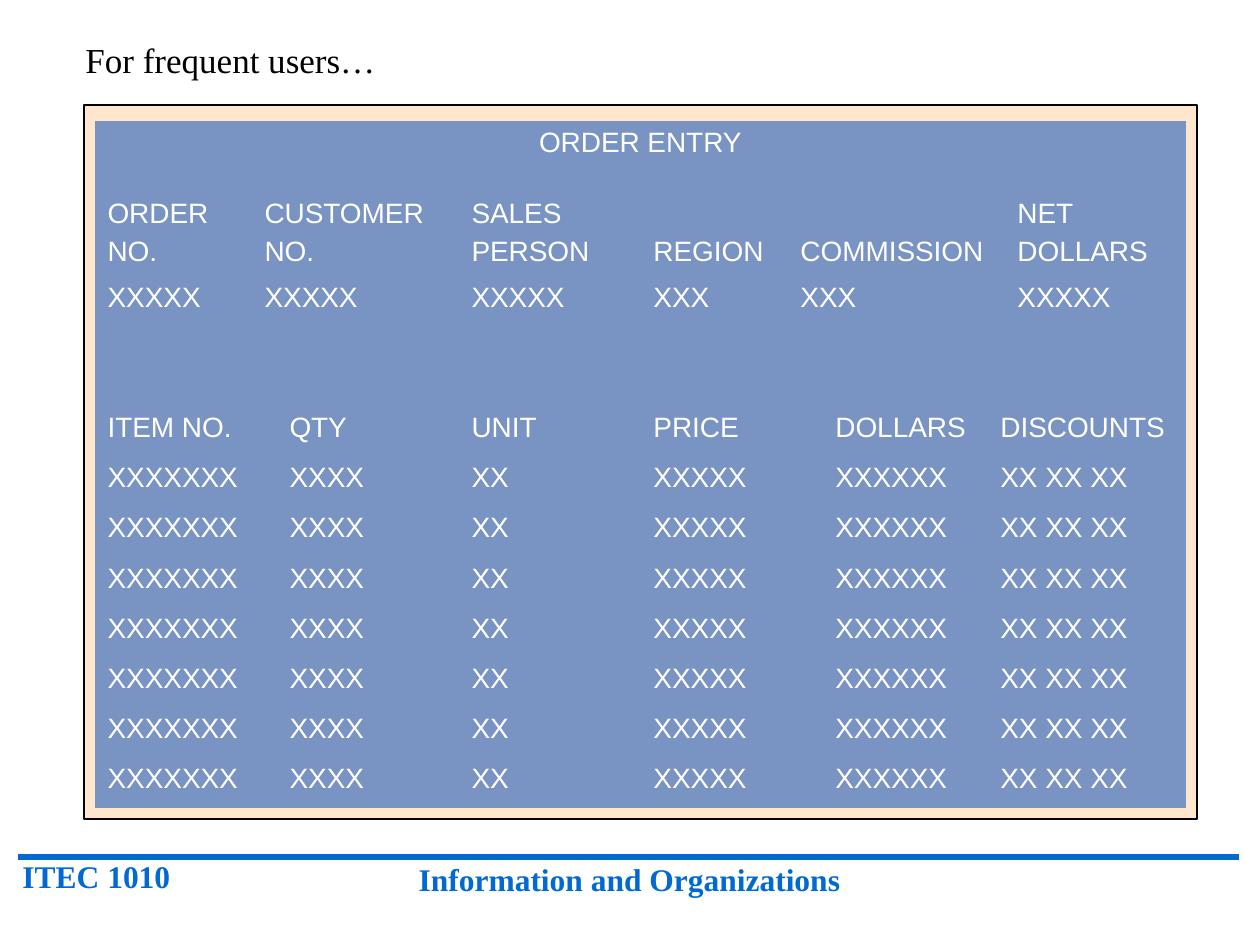
from pptx import Presentation
from pptx.dml.color import RGBColor
from pptx.enum.shapes import MSO_CONNECTOR, MSO_SHAPE
from pptx.enum.text import MSO_ANCHOR, PP_ALIGN
from pptx.oxml.ns import qn
from pptx.util import Emu, Pt
from lxml import etree

RECTANGLE = MSO_SHAPE.RECTANGLE
STRAIGHT = MSO_CONNECTOR.STRAIGHT
LEFT, CENTER = PP_ALIGN.LEFT, PP_ALIGN.CENTER
TOP, BOTTOM = MSO_ANCHOR.TOP, MSO_ANCHOR.BOTTOM

EMU_PER_PX = 914400 / 126
NO_STYLE = "{2D5ABB26-0587-4C30-8999-92F81FD0307C}"
COLORS = {
    "footer": "0069D2",
    "frame": "FFE6CD",
    "cell": "7993C3",
    "black": "000000",
    "white": "FFFFFF",
}

ORDER_ROWS = [
    ["ORDER ENTRY"],
    ["ORDER\nNO.", "CUSTOMER\nNO.", "SALES\nPERSON", "REGION",
     "COMMISSION", "NET\nDOLLARS"],
    ["XXXXX", "XXXXX", "XXXXX", "XXX", "XXX", "XXXXX"],
    [""],
]
ITEM_HEADER = ["ITEM NO.", "QTY", "UNIT", "PRICE", "DOLLARS", "DISCOUNTS"]
ITEM_ROW = ["XXXXXXX", "XXXX", "XX", "XXXXX", "XXXXXX", "XX XX XX"]
ITEM_ROWS = [ITEM_HEADER] + [ITEM_ROW] * 7


def px(value):
    return Emu(round(value * EMU_PER_PX))


def color(name):
    return RGBColor.from_string(COLORS[name])


def write_text(frame, text, *, size, ink, font="Times New Roman", bold=False,
               align=LEFT, gap=0):
    """Write one paragraph per line, with gap points between them."""
    for index, line in enumerate(text.split("\n")):
        paragraph = frame.add_paragraph() if index else frame.paragraphs[0]
        paragraph.alignment = align
        if index:
            paragraph.space_before = Pt(gap)
        run = paragraph.add_run()
        run.text = line
        run.font.name = font
        run.font.size = Pt(size)
        run.font.bold = bold
        run.font.color.rgb = color(ink)


def add_text(slide, left, top, width, height, text, **text_format):
    box = slide.shapes.add_textbox(px(left), px(top), px(width), px(height))
    box.text_frame.word_wrap = True
    write_text(box.text_frame, text, **text_format)


def add_line(slide, left, right, y):
    line = slide.shapes.add_connector(STRAIGHT, px(left), px(y), px(right), px(y))
    line.line.color.rgb = color("footer")
    line.line.width = Pt(3)
    etree.SubElement(line._element.spPr, qn("a:effectLst"))


def add_frame(slide, left, top, width, height):
    shape = slide.shapes.add_shape(RECTANGLE, px(left), px(top), px(width), px(height))
    shape.shadow.inherit = False
    shape.fill.solid()
    shape.fill.fore_color.rgb = color("frame")
    shape.line.color.rgb = color("black")
    shape.line.width = Pt(0.75)


def add_grid(slide, left, top, widths, heights, rows, header_row=None):
    """Add a borderless table; a row with a single text spans all columns."""
    graphic = slide.shapes.add_table(len(heights), len(widths), px(left), px(top),
                                     px(sum(widths)), px(sum(heights)))
    table = graphic.table
    table.first_row = table.horz_banding = False
    table._tbl.tblPr.find(qn("a:tableStyleId")).text = NO_STYLE
    for column, width in zip(table.columns, widths):
        column.width = px(width)
    for row, height in zip(table.rows, heights):
        row.height = px(height)
    for cell in table.iter_cells():
        cell.fill.solid()
        cell.fill.fore_color.rgb = color("cell")

    for row_index, texts in enumerate(rows):
        spans = len(texts) == 1
        if spans:
            table.cell(row_index, 0).merge(table.cell(row_index, len(widths) - 1))
        for column_index, text in enumerate(texts):
            cell = table.cell(row_index, column_index)
            # Column headings stand on a common bottom line
            if row_index == header_row:
                cell.vertical_anchor = BOTTOM
                cell.margin_bottom = px(9)
            else:
                cell.vertical_anchor = TOP
            if text:
                write_text(cell.text_frame, text, size=16, ink="white", font="Arial",
                           align=CENTER if spans else LEFT, gap=4)


def main():
    presentation = Presentation()
    presentation.slide_width, presentation.slide_height = px(1260), px(945)
    slide = presentation.slides.add_slide(presentation.slide_layouts[6])

    # Footer
    add_line(slide, 18, 1239, 857)
    footer = {"size": 18, "ink": "footer", "bold": True}
    add_text(slide, 10, 851, 210, 50, "ITEC 1010", **footer)
    add_text(slide, 325, 854, 609, 50, "Information and Organizations",
             align=CENTER, **footer)

    # Order entry screen
    add_frame(slide, 84, 105, 1113, 714)
    add_grid(slide, 95, 406, [182, 182, 182, 182, 165, 198], [402 / 8] * 8, ITEM_ROWS)
    add_grid(slide, 95, 121, [157, 207, 182, 147, 217, 181], [66, 87, 66, 66],
             ORDER_ROWS, header_row=1)

    # Heading
    add_text(slide, 73, 32, 399, 55, "For frequent users…", size=20, ink="black")

    presentation.save("out.pptx")


if __name__ == "__main__":
    main()
